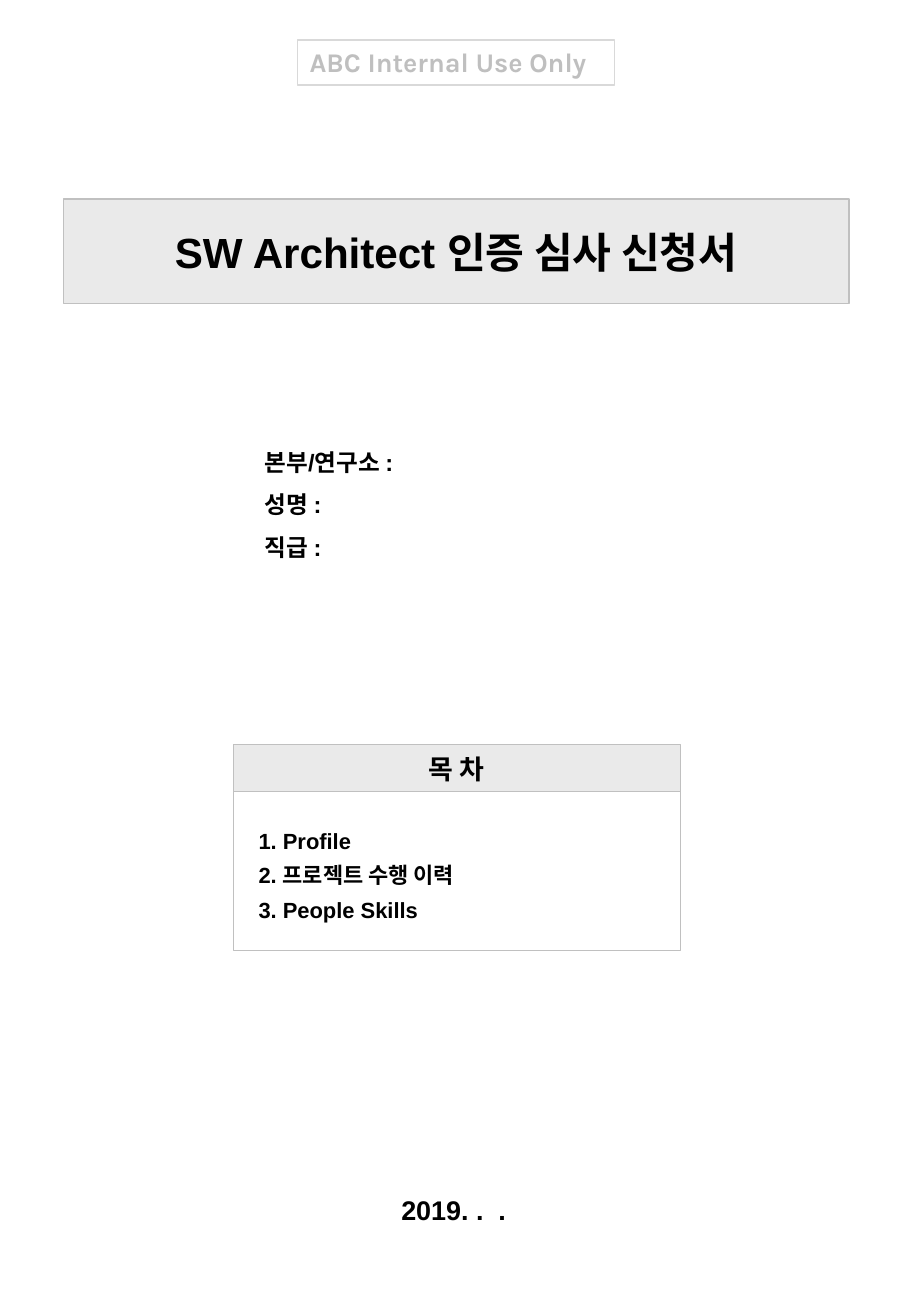
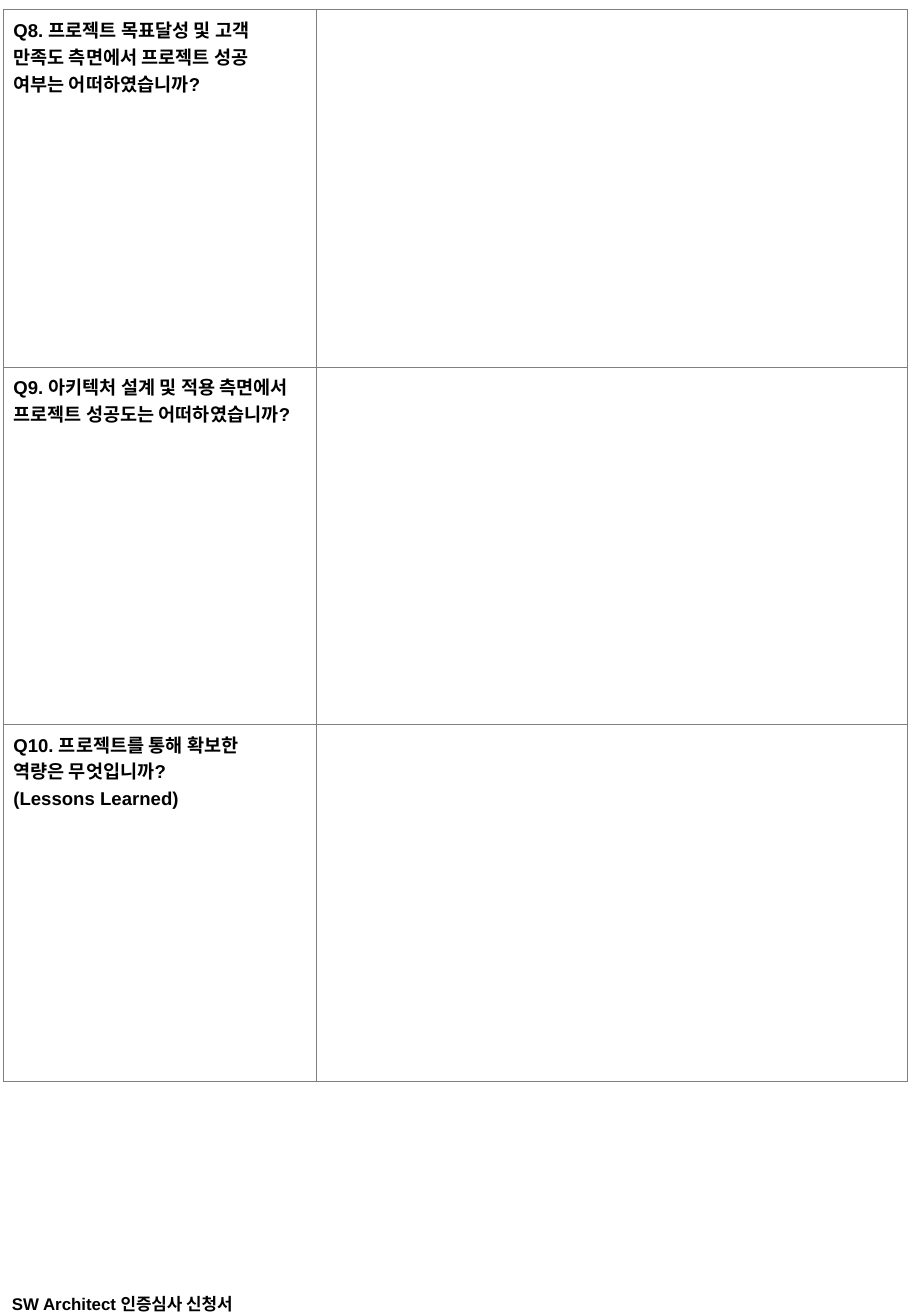
from dataclasses import dataclass

from lxml import etree
from pptx import Presentation
from pptx.dml.color import RGBColor
from pptx.enum.shapes import MSO_SHAPE
from pptx.enum.text import MSO_ANCHOR, PP_ALIGN
from pptx.oxml.ns import qn
from pptx.slide import Slide
from pptx.table import _Cell
from pptx.text.text import TextFrame
from pptx.util import Emu, Pt

RECTANGLE = MSO_SHAPE.RECTANGLE
TOP, MIDDLE = MSO_ANCHOR.TOP, MSO_ANCHOR.MIDDLE
LEFT, CENTER = PP_ALIGN.LEFT, PP_ALIGN.CENTER
EMU_PER_PX = 9144  # 100 px to the inch


@dataclass(frozen=True)
class Theme:
    font: str = "Arial"
    badge_font: str = "Karla"
    ink: str = "000000"
    paper: str = "FFFFFF"
    band: str = "EAEAEA"
    band_line: str = "C0C0C0"
    badge_line: str = "D9D9D9"
    badge_ink: str = "BFBFBF"
    grid_line: str = "7F7F7F"
    title_size: int = 25
    heading_size: int = 16
    field_size: int = 14
    contents_size: int = 13
    question_size: int = 11
    footer_size: int = 10
    line_width: float = 0.75
    thin_line_width: float = 0.25
    grid_width: float = 0.34


THEME = Theme()


@dataclass(frozen=True)
class Box:
    left: int
    top: int
    width: int
    height: int


@dataclass(frozen=True)
class TextStyle:
    size: int
    font: str = THEME.font
    color: str = THEME.ink
    align: PP_ALIGN = LEFT
    anchor: MSO_ANCHOR = TOP
    line_spacing: float = 1.0
    space_before: float = 0
    margin: int = 0
    indent: int = 0


@dataclass(frozen=True)
class Panel:
    box: Box
    lines: tuple[str, ...]
    style: TextStyle
    fill: str | None = None
    line: str | None = None
    line_width: float = THEME.line_width


HEADING = TextStyle(THEME.heading_size, align=CENTER, anchor=MIDDLE)
QUESTION = TextStyle(THEME.question_size, space_before=2.8)

COVER_PANELS = (
    Panel(Box(52, 164, 647, 86), ("SW Architect 인증 심사 신청서",),
          TextStyle(THEME.title_size, align=CENTER, anchor=MIDDLE),
          THEME.band, THEME.band_line),
    Panel(Box(245, 33, 261, 37), ("ABC Internal Use Only",),
          TextStyle(THEME.heading_size, THEME.badge_font, THEME.badge_ink),
          line=THEME.badge_line),
    Panel(Box(247, 978, 253, 52), ("2019. .  .",),
          TextStyle(THEME.heading_size, align=CENTER)),
    Panel(Box(208, 352, 333, 115), ("본부/연구소 :", "성명 :", "직급 :"),
          TextStyle(THEME.field_size, line_spacing=1.5)),
    Panel(Box(192, 613, 368, 40), ("목 차",), HEADING,
          THEME.band, THEME.band_line),
    Panel(Box(192, 652, 368, 131),
          ("1. Profile", "2. 프로젝트 수행 이력", "3. People Skills"),
          TextStyle(THEME.contents_size, anchor=MIDDLE, line_spacing=1.3,
                    margin=39, indent=-28),
          THEME.paper, THEME.band_line, THEME.thin_line_width),
)

FOOTER = Panel(Box(0, 1061, 238, 22), ("SW Architect 인증심사 신청서",),
               TextStyle(THEME.footer_size))

QUESTIONS = (
    ("Q8. 프로젝트 목표달성 및 고객\n만족도 측면에서 프로젝트 성공\n여부는 어떠하였습니까?",),
    ("Q9. 아키텍처 설계 및 적용 측면에서 프로젝트 성공도는 어떠하였습니까?",),
    ("Q10. 프로젝트를 통해 확보한\n역량은 무엇입니까?", "(Lessons Learned)"),
)
QUESTION_GRID = Box(3, 8, 744, 883)
QUESTION_COLUMNS = (257, 487)


def px(length: float) -> Emu:
    return Emu(round(length * EMU_PER_PX))


def place(box: Box) -> tuple[Emu, Emu, Emu, Emu]:
    return px(box.left), px(box.top), px(box.width), px(box.height)


def write(frame: TextFrame, lines: tuple[str, ...], style: TextStyle) -> None:
    """Fill the frame with one paragraph a line; a newline becomes a line break."""
    for index, line in enumerate(lines):
        paragraph = frame.add_paragraph() if index else frame.paragraphs[0]
        paragraph.alignment = style.align
        paragraph.line_spacing = style.line_spacing
        paragraph.space_before = Pt(style.space_before)
        if style.margin:
            properties = paragraph._p.get_or_add_pPr()
            properties.set("marL", str(px(style.margin)))
            properties.set("indent", str(px(style.indent)))
        for part_index, part in enumerate(line.split("\n")):
            if part_index:
                paragraph.add_line_break()
            run = paragraph.add_run()
            run.text = part
            run.font.name = style.font
            run.font.size = Pt(style.size)
            run.font.bold = True
            run.font.color.rgb = RGBColor.from_string(style.color)


def add_panel(slide: Slide, panel: Panel) -> None:
    """Draw a rectangle with text, or a plain text box when it has no outline."""
    if panel.line:
        shape = slide.shapes.add_shape(RECTANGLE, *place(panel.box))
        shape.shadow.inherit = False
        shape.line.color.rgb = RGBColor.from_string(panel.line)
        shape.line.width = Pt(panel.line_width)
        if panel.fill:
            shape.fill.solid()
            shape.fill.fore_color.rgb = RGBColor.from_string(panel.fill)
        else:
            shape.fill.background()
    else:
        shape = slide.shapes.add_textbox(*place(panel.box))
    frame = shape.text_frame
    frame.word_wrap = True
    frame.vertical_anchor = panel.style.anchor
    write(frame, panel.lines, panel.style)


def format_cell(cell: _Cell) -> None:
    """Set the cell's margins, its four borders and an empty fill."""
    cell.margin_left = cell.margin_right = px(8)
    cell.margin_top = cell.margin_bottom = px(5)
    properties = cell._tc.get_or_add_tcPr()
    for side in ("a:lnL", "a:lnR", "a:lnT", "a:lnB"):
        border = etree.SubElement(properties, qn(side), w=str(Pt(THEME.grid_width)))
        fill = etree.SubElement(border, qn("a:solidFill"))
        etree.SubElement(fill, qn("a:srgbClr"), val=THEME.grid_line)
    cell.fill.background()


def add_question_table(slide: Slide) -> None:
    table = slide.shapes.add_table(
        len(QUESTIONS), len(QUESTION_COLUMNS), *place(QUESTION_GRID)).table
    table.first_row = table.horz_banding = False
    for column, width in zip(table.columns, QUESTION_COLUMNS):
        column.width = px(width)
    for row, lines in zip(table.rows, QUESTIONS):
        row.height = px(QUESTION_GRID.height / len(QUESTIONS))
        for cell in row.cells:
            format_cell(cell)
        write(row.cells[0].text_frame, lines, QUESTION)


def main() -> None:
    presentation = Presentation()
    presentation.slide_width, presentation.slide_height = px(750), px(1084)
    blank_layout = presentation.slide_layouts[6]

    cover = presentation.slides.add_slide(blank_layout)
    for panel in COVER_PANELS:
        add_panel(cover, panel)

    questionnaire = presentation.slides.add_slide(blank_layout)
    add_panel(questionnaire, FOOTER)
    add_question_table(questionnaire)

    presentation.save("out.pptx")


if __name__ == "__main__":
    main()
